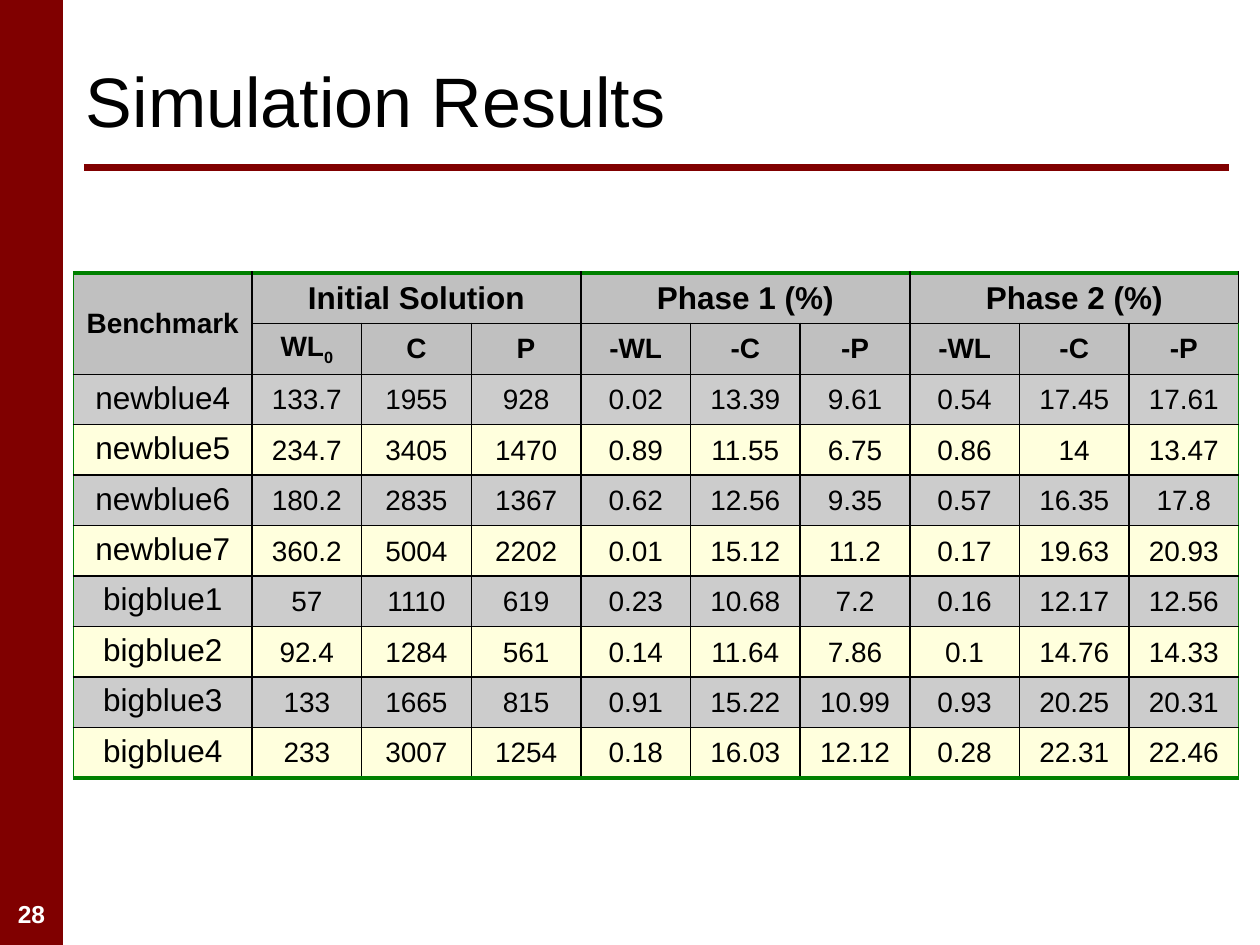
import pptx
import pptx.dml.color
import pptx.enum.shapes
import pptx.enum.text
import pptx.oxml.ns
import pptx.util
from lxml import etree

RGBColor = pptx.dml.color.RGBColor
MAROON = RGBColor(0x80, 0x00, 0x00)
GREEN = RGBColor(0x00, 0x80, 0x00)
BLACK = RGBColor(0x00, 0x00, 0x00)
WHITE = RGBColor(0xFF, 0xFF, 0xFF)
HEADER_GRAY = RGBColor(0xC0, 0xC0, 0xC0)
BAND_GRAY = RGBColor(0xCC, 0xCC, 0xCC)
BAND_CREAM = RGBColor(0xFF, 0xFF, 0xDD)
CENTER = pptx.enum.text.PP_ALIGN.CENTER
MIDDLE = pptx.enum.text.MSO_ANCHOR.MIDDLE

GROUPS = ["Initial Solution", "Phase 1 (%)", "Phase 2 (%)"]
MEASURES = ["WL", "C", "P"] + ["-WL", "-C", "-P"] * 2
RESULTS = [
    ["newblue4", "133.7", "1955", "928", "0.02", "13.39", "9.61", "0.54", "17.45", "17.61"],
    ["newblue5", "234.7", "3405", "1470", "0.89", "11.55", "6.75", "0.86", "14", "13.47"],
    ["newblue6", "180.2", "2835", "1367", "0.62", "12.56", "9.35", "0.57", "16.35", "17.8"],
    ["newblue7", "360.2", "5004", "2202", "0.01", "15.12", "11.2", "0.17", "19.63", "20.93"],
    ["bigblue1", "57", "1110", "619", "0.23", "10.68", "7.2", "0.16", "12.17", "12.56"],
    ["bigblue2", "92.4", "1284", "561", "0.14", "11.64", "7.86", "0.1", "14.76", "14.33"],
    ["bigblue3", "133", "1665", "815", "0.91", "15.22", "10.99", "0.93", "20.25", "20.31"],
    ["bigblue4", "233", "3007", "1254", "0.18", "16.03", "12.12", "0.28", "22.31", "22.46"],
]

deck = pptx.Presentation()
deck.slide_width = pptx.util.Inches(10)
deck.slide_height = pptx.util.Inches(7.5)
slide = deck.slides.add_slide(deck.slide_layouts[6])


def grid(*steps):
    """Lengths on a grid of 120 columns by 90 rows."""
    return [round(deck.slide_width * step / 120) for step in steps]


def write(frame, text, size, color=BLACK, bold=False, align=None, percent_before=0):
    frame.word_wrap = True
    frame.text = text
    paragraph = frame.paragraphs[0]
    paragraph.alignment = align
    # Space before as a share of the line height
    spacing = etree.SubElement(
        paragraph._p.get_or_add_pPr(), pptx.oxml.ns.qn("a:spcBef"))
    etree.SubElement(spacing, pptx.oxml.ns.qn("a:spcPct"), val=str(percent_before * 1000))
    font = paragraph.runs[0].font
    font.name, font.size, font.bold = "Arial", pptx.util.Pt(size), bold
    font.color.rgb = color


# Side bar and rule under the title
bar = slide.shapes.add_shape(pptx.enum.shapes.MSO_SHAPE.RECTANGLE, *grid(0, 0, 6, 90))
bar.shadow.inherit = False
bar.fill.solid()
bar.fill.fore_color.rgb = MAROON
bar.line.fill.background()

rule = slide.shapes.add_connector(
    pptx.enum.shapes.MSO_CONNECTOR.STRAIGHT, *grid(8, 16, 117, 16))
rule.line.color.rgb = MAROON
rule.line.width = pptx.util.Pt(4)
etree.SubElement(rule._element.spPr, pptx.oxml.ns.qn("a:effectLst"))

# Page number and title
page = slide.shapes.add_textbox(*grid(0, 85, 6, 4)).text_frame
write(page, "28", 14, WHITE, True, CENTER, 50)

title = slide.shapes.add_textbox(*grid(7, 3, 110, 13)).text_frame
title.vertical_anchor = MIDDLE
write(title, "Simulation Results", 40)

# Results table: two header rows, then one row per benchmark
row_count, column_count = len(RESULTS) + 2, len(MEASURES) + 1
table = slide.shapes.add_table(row_count, column_count, *grid(7, 26, 111, 47.6)).table
for column, width in zip(table.columns, grid(17, *[94 / 9] * 9)):
    column.width = width
for row, height in zip(table.rows, grid(4.8, 4.8, 4.4, *[4.8] * 7)):
    row.height = height

header = ["Benchmark"]
for group in GROUPS:
    header += [group, "", ""]
content = [header, [""] + MEASURES] + RESULTS

for r, values in enumerate(content):
    for c, value in enumerate(values):
        cell = table.cell(r, c)
        is_header = r < 2

        # Green frame, black inner lines
        properties = cell._tc.get_or_add_tcPr()
        for side, outer, frame_width in [
            ("L", c == 0, 1),
            ("R", c == column_count - 1, 1),
            ("T", r == 0, 2.25),
            ("B", r == row_count - 1, 2.25),
        ]:
            width = pptx.util.Pt(frame_width if outer else 1)
            border = etree.SubElement(
                properties, pptx.oxml.ns.qn("a:ln" + side), w=str(int(width)))
            solid = etree.SubElement(border, pptx.oxml.ns.qn("a:solidFill"))
            etree.SubElement(solid, pptx.oxml.ns.qn("a:srgbClr"),
                             val=str(GREEN if outer else BLACK))

        cell.fill.solid()
        cell.fill.fore_color.rgb = (
            HEADER_GRAY if is_header else BAND_CREAM if r % 2 else BAND_GRAY)
        if is_header or c > 0:
            cell.vertical_anchor = MIDDLE
        if not is_header and c > 0:
            cell.margin_left = cell.margin_right = cell.margin_top = pptx.util.Inches(0.01)
            cell.margin_bottom = 0
        if value:
            large = (r == 0) != (c == 0) and r != 1
            write(cell.text_frame, value, 18 if large else 16,
                  bold=is_header, align=CENTER, percent_before=20)

# Subscript of the initial wire length
wire_length = table.cell(1, 1).text_frame.paragraphs[0]
subscript = wire_length.add_run()
subscript.text = "0"
subscript.font.name, subscript.font.size = "Arial", pptx.util.Pt(16)
subscript.font.bold = True
subscript.font.color.rgb = BLACK
subscript._r.get_or_add_rPr().set("baseline", "-25000")

# Merged header cells
table.cell(0, 0).merge(table.cell(1, 0))
for first in range(1, column_count, 3):
    table.cell(0, first).merge(table.cell(0, first + 2))

deck.save("out.pptx")
